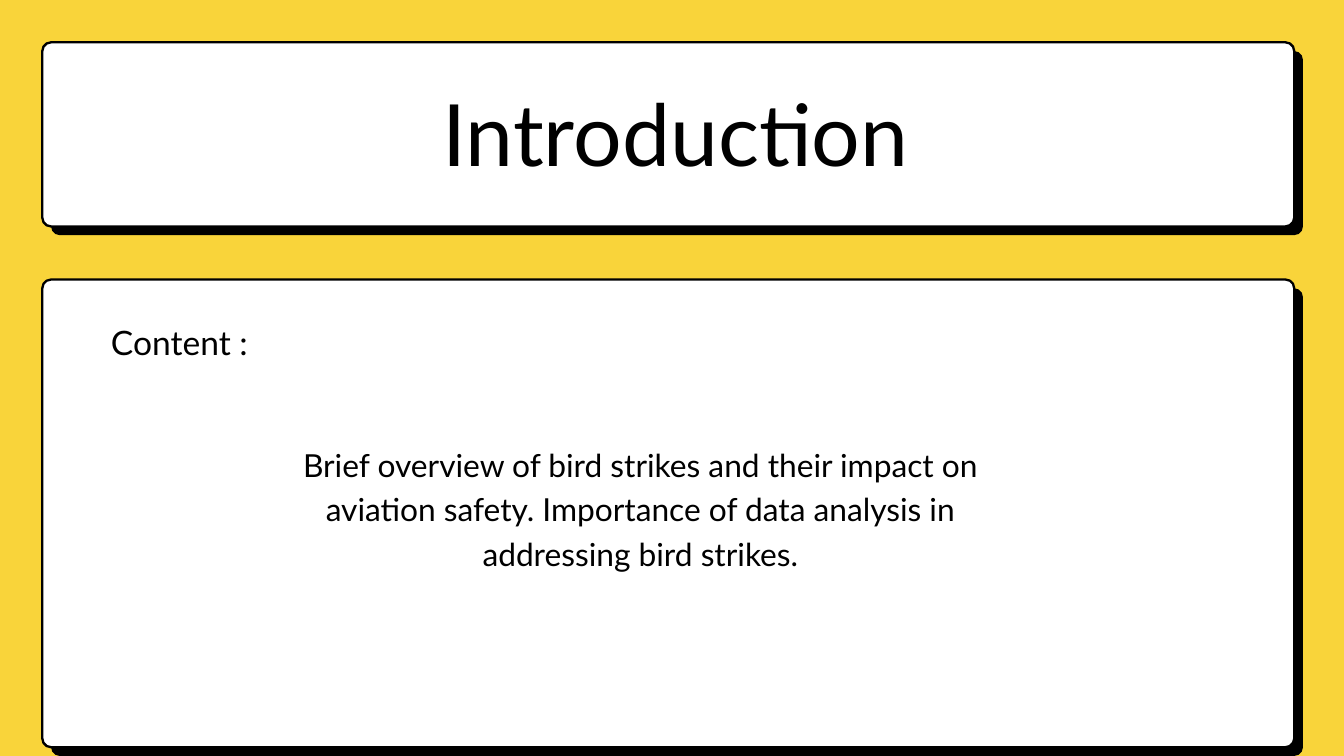
from pptx import Presentation
from pptx.util import Inches, Pt
from pptx.dml.color import RGBColor
from pptx.enum.shapes import MSO_SHAPE
from pptx.enum.text import PP_ALIGN, MSO_ANCHOR, MSO_AUTO_SIZE
from lxml import etree

COLORS = {"back": "F9D43A", "card": "FFFFFF", "ink": "000000"}
NS = "http://schemas.openxmlformats.org/drawingml/2006/main"


def paint(fill, name):
    fill.solid()
    fill.fore_color.rgb = RGBColor.from_string(COLORS[name])


deck = Presentation()
deck.slide_width = Inches(20)
deck.slide_height = Inches(11.25)
slide = deck.slides.add_slide(deck.slide_layouts[3])
paint(slide.background.fill, "back")

left, width, shift, radius = 0.63, 18.63, 0.13, 0.13
for top, height in [(0.63, 2.74), (4.16, 6.96)]:
    for step, name in [(shift, "ink"), (0, "card")]:
        card = slide.shapes.add_shape(
            MSO_SHAPE.ROUNDED_RECTANGLE, Inches(left + step), Inches(top + step),
            Inches(width), Inches(height))
        card.adjustments[0] = radius / height
        card.shadow.inherit = False
        paint(card.fill, name)
        if step:
            card.line.fill.background()
        else:
            paint(card.line.fill, "ink")
            card.line.width = Pt(2.5)

texts = [
    ("Introduction", 92, 128.8, (6.03, 0.94, 8.05, 1.71)),
    ("Content :", 36, 50.4, (1.54, 4.69, 2.26, 0.67)),
    ("Brief overview of bird strikes and their impact on aviation safety. "
     "Importance of data analysis in addressing bird strikes.",
     34, 47.6, (3.8, 6.54, 11.46, 1.95)),
]
holders = list(slide.placeholders)[:len(texts)]
for extra in list(slide.placeholders)[len(texts):]:
    extra._element.getparent().remove(extra._element)

for box, (text, size, lead, place) in zip(holders, texts):
    box.left, box.top, box.width, box.height = [Inches(n) for n in place]
    slide.shapes._spTree.append(box._element)
    frame = box.text_frame
    frame.text = text
    frame.word_wrap = True
    frame.auto_size = MSO_AUTO_SIZE.NONE
    frame.vertical_anchor = MSO_ANCHOR.TOP
    frame.margin_left = frame.margin_right = 0
    frame.margin_top = frame.margin_bottom = 0
    para = frame.paragraphs[0]
    para.alignment = PP_ALIGN.CENTER
    para.line_spacing = Pt(lead)
    para.space_before = Pt(0)
    props = para._p.get_or_add_pPr()
    props.set("marL", "0")
    props.set("indent", "0")
    etree.SubElement(props, f"{{{NS}}}buNone")
    font = para.runs[0].font
    font.name = "Lato"
    font.size = Pt(size)
    paint(font.fill, "ink")

deck.save("out.pptx")
